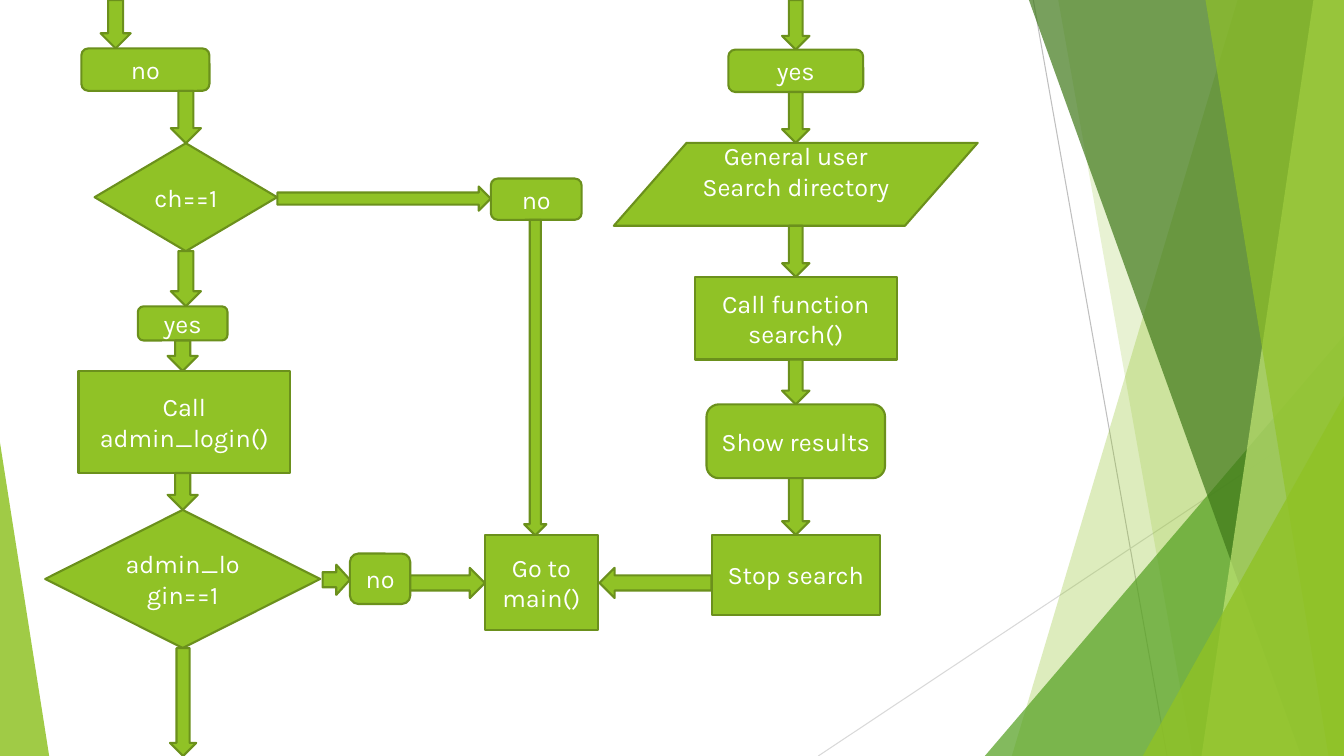
"""Build the directory flowchart slide with its faceted green border."""
from lxml import etree
from pptx import Presentation
from pptx.dml.color import RGBColor
from pptx.enum.shapes import MSO_CONNECTOR, MSO_SHAPE as SH
from pptx.enum.text import MSO_ANCHOR, PP_ALIGN
from pptx.oxml.ns import qn
from pptx.util import Cm, Pt

GREEN = RGBColor(0x90, 0xC2, 0x26)
OUTLINE = RGBColor(0x6B, 0x90, 0x1C)
MID = RGBColor(0x54, 0xA0, 0x21)
DARK = RGBColor(0x3F, 0x78, 0x19)
PALE = RGBColor(0xC0, 0xE4, 0x74)
GREY = RGBColor(0xBF, 0xBF, 0xBF)
LIGHT_GREY = RGBColor(0xD9, 0xD9, 0xD9)
WHITE = RGBColor(0xFF, 0xFF, 0xFF)

WIDTH, HEIGHT = 33.87, 19.05
STEP, CALL, DATA, DECISION = (SH.FLOWCHART_ALTERNATE_PROCESS, SH.FLOWCHART_PROCESS,
                              SH.FLOWCHART_DATA, SH.FLOWCHART_DECISION)


def tint(sp, color, alpha):
    """Give a border facet a translucent fill without outline."""
    sp.shadow.inherit = False
    sp.fill.solid()
    sp.fill.fore_color.rgb = color
    clr = sp.fill._xPr.find(qn("a:solidFill"))[0]
    etree.SubElement(clr, qn("a:alpha")).set("val", str(alpha * 1000))
    sp.line.fill.background()


def band(s, x, y, w, h, top_x, bottom_x, color, alpha):
    """Draw a facet with a slanted left edge that reaches the right of its box."""
    corners = [(top_x, 0), (w, 0), (w, h), (bottom_x, h)]
    points = [(Cm(x + px), Cm(y + py)) for px, py in corners]
    fb = s.shapes.build_freeform(*points[0], scale=1.0)
    fb.add_line_segments(points[1:], close=True)
    tint(fb.convert_to_shape(), color, alpha)


def wedge(s, x, y, w, h, apex, color, alpha):
    """Draw a right-angled triangle filling its box."""
    sp = s.shapes.add_shape(SH.ISOSCELES_TRIANGLE, Cm(x), Cm(y), Cm(w), Cm(h))
    sp.adjustments[0] = apex
    tint(sp, color, alpha)


def hairline(s, x1, y1, x2, y2, color):
    """Draw a thin straight line."""
    ln = s.shapes.add_connector(MSO_CONNECTOR.STRAIGHT, Cm(x1), Cm(y1), Cm(x2), Cm(y2))
    ln.line.color.rgb = color
    ln.line.width = Pt(0.75)
    etree.SubElement(ln._element.spPr, qn("a:effectLst"))


def border(s, x, y, w, h):
    """Draw the overlapping facets on the right side of the slide."""
    hairline(s, x + 5.42, y, x + 8.79, y + h, GREY)
    hairline(s, x + w, y + 10.24, x, y + h, LIGHT_GREY)
    box = x, y, w, h
    band(s, *box, 10.57, 4.88, GREEN, 30)
    band(s, *box, 6.05, 9.43, GREEN, 20)
    wedge(s, x + 4.2, y + 8.46, w - 4.2, h - 8.46, 1, MID, 72)
    band(s, *box, 5.31, 12.17, DARK, 70)
    band(s, *box, 12.48, 9.66, PALE, 70)
    band(s, *box, 9.76, 12.86, GREEN, 65)
    wedge(s, x + 8.18, y + 9.98, w - 8.18, h - 9.98, 1, GREEN, 80)


def node(s, kind, x, y, w, h, text=""):
    """Draw one outlined flowchart shape with centred text."""
    sp = s.shapes.add_shape(kind, Cm(x), Cm(y), Cm(w), Cm(h))
    sp.shadow.inherit = False
    sp.fill.solid()
    sp.fill.fore_color.rgb = GREEN
    sp.line.color.rgb = OUTLINE
    sp.line.width = Pt(1.5)
    if text:
        tf = sp.text_frame
        tf.word_wrap = True
        tf.vertical_anchor = MSO_ANCHOR.MIDDLE
        tf.text = text
        for p in tf.paragraphs:
            p.alignment = PP_ALIGN.CENTER
            f = p.runs[0].font
            f.name, f.size, f.color.rgb = "Karla", Pt(18), WHITE
    return sp


def column(s, x, y, w, thick, steps):
    """Stack steps about the box's axis, an arrow leading into each one."""
    axis, end = x + w / 2, y
    for kind, text, top, width, height, shift, arrow_shift in steps:
        node(s, SH.DOWN_ARROW, axis + arrow_shift - thick / 2, end, thick, y + top - end)
        sp = node(s, kind, axis + shift - width / 2, y + top, width, height, text)
        if kind == DATA:
            sp.text_frame.margin_bottom = Cm(0.8)
        end = y + top + height
    return axis, end


def admin_flow(s, x, y, w, h):
    """Draw the administrator login path and its exit arrow."""
    axis, end = column(s, x, y, w, 0.76, [
        (STEP, "no", 1.22, 3.23, 1.07, -0.94, -1.69),
        (DECISION, "ch==1", 3.61, 4.6, 2.72, 0.08, 0.08),
        (STEP, "yes", 7.72, 2.26, 0.86, 0, 0.08),
        (CALL, "Call admin_login()", 9.35, 5.33, 2.57, 0.04, 0),
        (DECISION, "admin_login==1", 12.85, w, 3.48, 0, 0),
    ])
    node(s, SH.DOWN_ARROW, axis - 0.32, end, 0.66, y + h - end)


def search_flow(s, x, y, w, h):
    """Draw the general user's search path."""
    column(s, x, y, w, 0.69, [
        (STEP, "yes", 1.25, 3.4, 1.07, 0, 0),
        (DATA, "General user\nSearch directory", 3.6, w, 2.09, 0, 0),
        (CALL, "Call function search()", 6.98, 5.08, 2.08, 0, 0),
        (STEP, "Show results", 10.19, 4.5, 1.86, 0, 0),
        (CALL, "Stop search", 13.48, 4.24, h - 13.48, 0, 0),
    ])


def return_routes(s, x, y, w, h):
    """Draw the routes from both paths that meet at the main menu."""
    node(s, SH.RIGHT_ARROW, x, y + 0.2, 5.38, 0.61)
    node(s, STEP, x + 5.38, y, 2.29, 1.04, "no")
    node(s, SH.DOWN_ARROW, x + 6.22, y + 1.04, 0.56, h - 3.43)
    node(s, SH.RECTANGLE, x + 5.23, y + h - 2.39, 2.85, 2.39, "Go to main()")
    node(s, SH.LEFT_ARROW, x + w - 2.82, y + h - 1.57, 2.82, 0.76)
    node(s, SH.RIGHT_ARROW, x + 1.14, y + h - 1.65, 0.69, 0.76)
    node(s, STEP, x + 1.83, y + h - 1.93, 1.52, 1.27, "no")
    node(s, SH.RIGHT_ARROW, x + 3.35, y + h - 1.57, 1.88, 0.76)


def main():
    """Build and save the slide."""
    prs = Presentation()
    prs.slide_width, prs.slide_height = Cm(WIDTH), Cm(HEIGHT)
    s = prs.slides.add_slide(prs.slide_layouts[6])
    border(s, 20.62, 0, WIDTH - 20.62, HEIGHT)
    wedge(s, 0, 11.15, 1.24, HEIGHT - 11.15, 0, GREEN, 85)
    search_flow(s, 15.47, 0, 9.17, 15.49)
    admin_flow(s, 1.14, 0, 6.93, HEIGHT)
    return_routes(s, 6.99, 4.5, 10.94, 11.38)
    prs.save("out.pptx")


if __name__ == "__main__":
    main()
